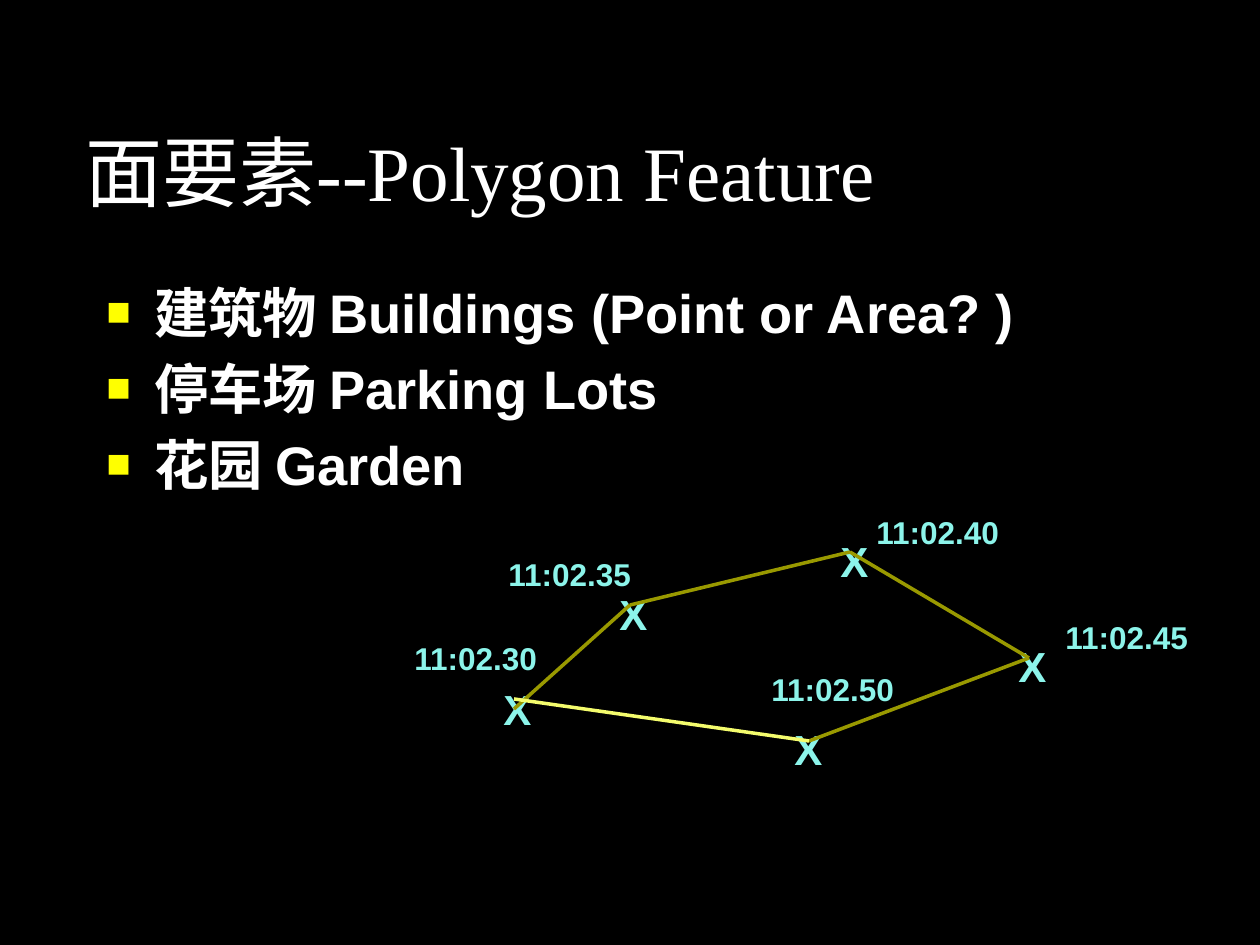
from typing import NamedTuple

import lxml.etree
import pptx
import pptx.dml.color
import pptx.enum.shapes
import pptx.enum.text
import pptx.oxml.ns
import pptx.util

EMU_PER_PX = 914400 / 126
COLORS = {
    "background": "000000",
    "text": "FFFFFF",
    "bullet": "FFFF00",
    "survey": "8CF4EA",
    "edge": "999900",
    "closing_edge": "F4FC6D",
}


class SurveyPoint(NamedTuple):
    time: str
    label: tuple[int, int]
    mark: tuple[int, int]
    vertex: tuple[int, int]


SURVEY_POINTS = [
    SurveyPoint("11:02.30", (402, 633), (491, 677), (514, 709)),
    SurveyPoint("11:02.35", (496, 549), (607, 582), (630, 605)),
    SurveyPoint("11:02.40", (864, 507), (828, 529), (850, 552)),
    SurveyPoint("11:02.45", (1053, 612), (1006, 634), (1029, 658)),
    SurveyPoint("11:02.50", (759, 664), (782, 717), (809, 741)),
]
CLOSING_VERTEX = (514, 699)
MARK_SIZE = (53, 63)
LABEL_SIZE = (150, 50)
FEATURES = [
    "建筑物 Buildings (Point or Area? )",
    "停车场 Parking Lots",
    "花园 Garden",
]


def px(length: int) -> int:
    return round(length * EMU_PER_PX)


def rgb(name: str) -> pptx.dml.color.RGBColor:
    return pptx.dml.color.RGBColor.from_string(COLORS[name])


def add_text(slide, lines: list[str], at: tuple[int, int], size: tuple[int, int], *,
             points: int, color: str, font: str = "Arial", bold: bool = True,
             wrap: bool = False, anchor=pptx.enum.text.MSO_ANCHOR.TOP,
             line_spacing: float | None = None, bulleted: bool = False) -> None:
    frame = slide.shapes.add_textbox(*map(px, at + size)).text_frame
    frame.word_wrap = wrap
    frame.vertical_anchor = anchor
    for index, line in enumerate(lines):
        paragraph = frame.add_paragraph() if index else frame.paragraphs[0]
        if line_spacing:
            paragraph.line_spacing = line_spacing
        if bulleted:
            add_bullet(paragraph)
        run = paragraph.add_run()
        run.text = line
        run.font.name = font
        run.font.size = pptx.util.Pt(points)
        run.font.bold = bold
        run.font.color.rgb = rgb(color)


def add_bullet(paragraph) -> None:
    properties = paragraph._p.get_or_add_pPr()
    properties.set("marL", str(px(48)))
    properties.set("indent", str(px(-48)))

    def add(parent, tag: str, **attributes: str):
        return lxml.etree.SubElement(parent, pptx.oxml.ns.qn(tag), attributes)

    add(add(properties, "a:spcBef"), "a:spcPct", val="20000")
    add(add(properties, "a:buClr"), "a:srgbClr", val=COLORS["bullet"])
    add(properties, "a:buSzPct", val="75000")
    add(properties, "a:buFont", typeface="Arial")
    add(properties, "a:buChar", char="■")


def add_edge(slide, start: tuple[int, int], end: tuple[int, int], color: str) -> None:
    edge = slide.shapes.add_connector(
        pptx.enum.shapes.MSO_CONNECTOR.STRAIGHT, *map(px, start + end))
    edge.line.color.rgb = rgb(color)
    edge.line.width = pptx.util.Pt(2)
    lxml.etree.SubElement(edge._element.spPr, pptx.oxml.ns.qn("a:effectLst"))


def main() -> None:
    presentation = pptx.Presentation()
    presentation.slide_width = px(1260)
    presentation.slide_height = px(945)
    slide = presentation.slides.add_slide(presentation.slide_layouts[6])
    slide.background.fill.solid()
    slide.background.fill.fore_color.rgb = rgb("background")

    # Title and feature list
    add_text(slide, ["面要素--Polygon Feature"], (73, 66), (1124, 157), points=44,
             color="text", font="Times New Roman", bold=False, wrap=True,
             anchor=pptx.enum.text.MSO_ANCHOR.BOTTOM, line_spacing=0.8)
    add_text(slide, FEATURES, (94, 273), (1092, 567), points=31, color="text",
             wrap=True, bulleted=True)

    # Surveyed marks
    for point in SURVEY_POINTS:
        add_text(slide, ["X"], point.mark, MARK_SIZE, points=24, color="survey")

    # Polygon outline, closed by a brighter edge
    for start, end in zip(SURVEY_POINTS, SURVEY_POINTS[1:]):
        add_edge(slide, start.vertex, end.vertex, "edge")
    add_edge(slide, SURVEY_POINTS[-1].vertex, CLOSING_VERTEX, "closing_edge")

    # Time labels
    for point in SURVEY_POINTS:
        add_text(slide, [point.time], point.label, LABEL_SIZE, points=18, color="survey")

    presentation.save("out.pptx")


if __name__ == "__main__":
    main()
